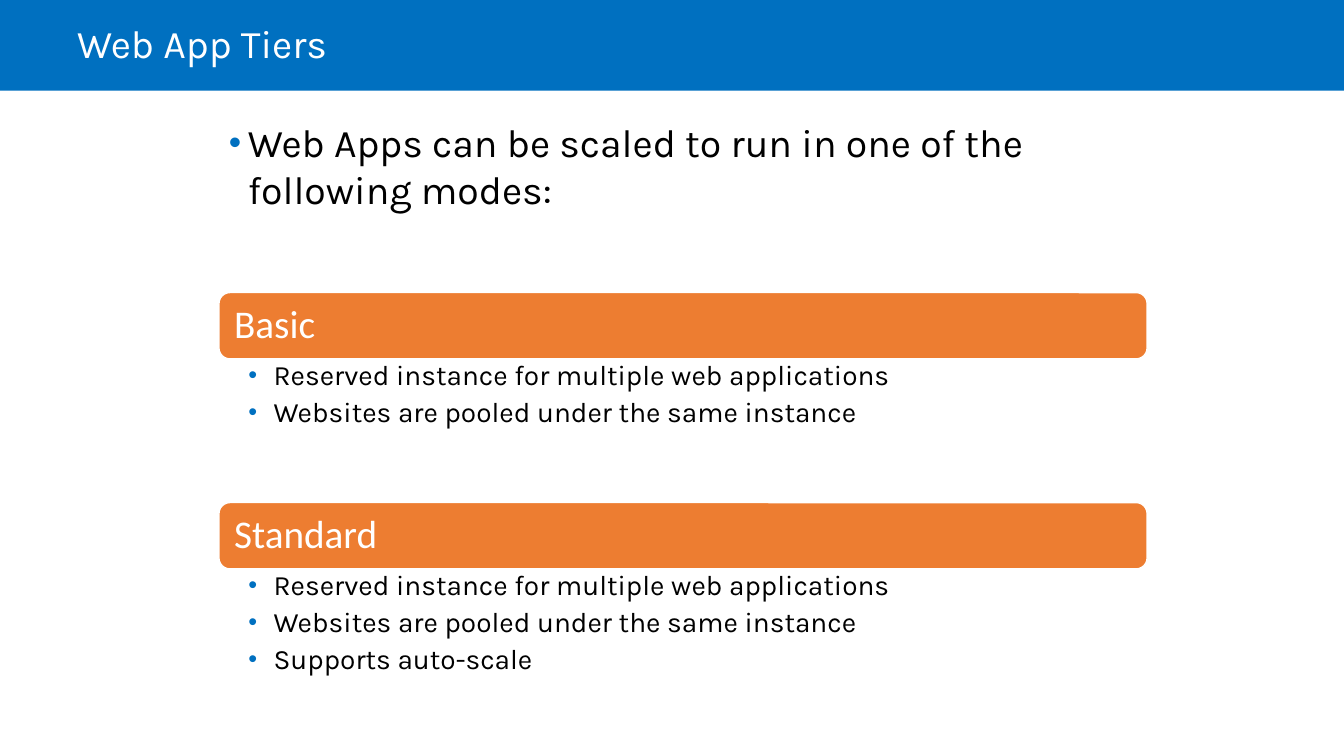
from lxml import etree
from pptx import Presentation
from pptx.dml.color import RGBColor
from pptx.enum import shapes, text
from pptx.oxml import ns
from pptx.util import Pt

TITLE = "Web App Tiers"
INTRO = "Web Apps can be scaled to run in one of the following modes:"
TIERS = [
    ("Basic", [
        "Reserved instance for multiple web applications",
        "Websites are pooled under the same instance",
    ]),
    ("Standard", [
        "Reserved instance for multiple web applications",
        "Websites are pooled under the same instance",
        "Supports auto-scale",
    ]),
]

BLUE = RGBColor(0x00, 0x70, 0xC0)
ORANGE = RGBColor(0xED, 0x7D, 0x31)
WHITE = RGBColor(0xFF, 0xFF, 0xFF)
BLACK = RGBColor(0x00, 0x00, 0x00)

SLIDE_W, SLIDE_H = 960, 540
HEADER_H = 64.8
LEFT = 156.4
TIER_W, BAR_H = 663, 47.4
TIER_TOP, TIER_STEP = 209, 150
FEATURE_BOTTOM = 485.5

deck = Presentation()
deck.slide_width, deck.slide_height = Pt(SLIDE_W), Pt(SLIDE_H)
slide = deck.slides.add_slide(deck.slide_layouts[6])


def add_bullet(paragraph, hang):
    props = paragraph._p.get_or_add_pPr()
    props.set("marL", str(Pt(hang)))
    props.set("indent", str(-Pt(hang)))
    colour = etree.SubElement(props, ns.qn("a:buClr"))
    etree.SubElement(colour, ns.qn("a:srgbClr"), val=str(BLUE))
    etree.SubElement(props, ns.qn("a:buSzPct"), val="90000")
    etree.SubElement(props, ns.qn("a:buFont"), typeface="Arial")
    etree.SubElement(props, ns.qn("a:buChar"), char="•")


def write(holder, lines, size=28, font="Karla", colour=BLACK, hang=0,
          spacing=1.0, after=0, insets=(7.2, 3.6, 7.2, 3.6),
          anchor=text.MSO_ANCHOR.TOP):
    frame = holder.text_frame
    frame.word_wrap = True
    frame.vertical_anchor = anchor
    (frame.margin_left, frame.margin_top,
     frame.margin_right, frame.margin_bottom) = map(Pt, insets)
    for index, line in enumerate(lines):
        paragraph = frame.add_paragraph() if index else frame.paragraphs[0]
        if hang:
            add_bullet(paragraph, hang)
        paragraph.alignment = text.PP_ALIGN.LEFT
        paragraph.line_spacing = spacing
        paragraph.space_after = Pt(after)
        run = paragraph.add_run()
        run.text = line
        run.font.size = Pt(size)
        run.font.name = font
        run.font.color.rgb = colour


def add_panel(preset, left, top, width, height, fill):
    panel = slide.shapes.add_shape(preset, Pt(left), Pt(top), Pt(width), Pt(height))
    panel.shadow.inherit = False
    panel.fill.solid()
    panel.fill.fore_color.rgb = fill
    return panel


def add_box(left, top, width, height):
    return slide.shapes.add_textbox(Pt(left), Pt(top), Pt(width), Pt(height))


header = add_panel(shapes.MSO_SHAPE.RECTANGLE, 0, 0, SLIDE_W, HEADER_H, BLUE)
header.line.fill.background()
write(add_box(48, 0, 864, HEADER_H), [TITLE], colour=WHITE, spacing=0.9,
      anchor=text.MSO_ANCHOR.MIDDLE)

write(add_box(LEFT, 81, 639, 110), [INTRO], hang=13.5)

for number, (tier, features) in enumerate(TIERS):
    top = TIER_TOP + number * TIER_STEP
    bar = add_panel(shapes.MSO_SHAPE.ROUNDED_RECTANGLE, LEFT, top, TIER_W, BAR_H, ORANGE)
    bar.line.color.rgb = WHITE
    bar.line.width = Pt(1)
    write(bar, [tier], font="Calibri", colour=WHITE, spacing=0.9,
          insets=(8.6, 0, 8.6, 0), anchor=text.MSO_ANCHOR.MIDDLE)

    features_top = top + BAR_H
    features_end = min(top + TIER_STEP, FEATURE_BOTTOM)
    write(add_box(LEFT, features_top, TIER_W, features_end - features_top), features,
          size=20, hang=18, spacing=0.9, after=4.7, insets=(21, 2, 11.5, 2))

deck.save("out.pptx")
